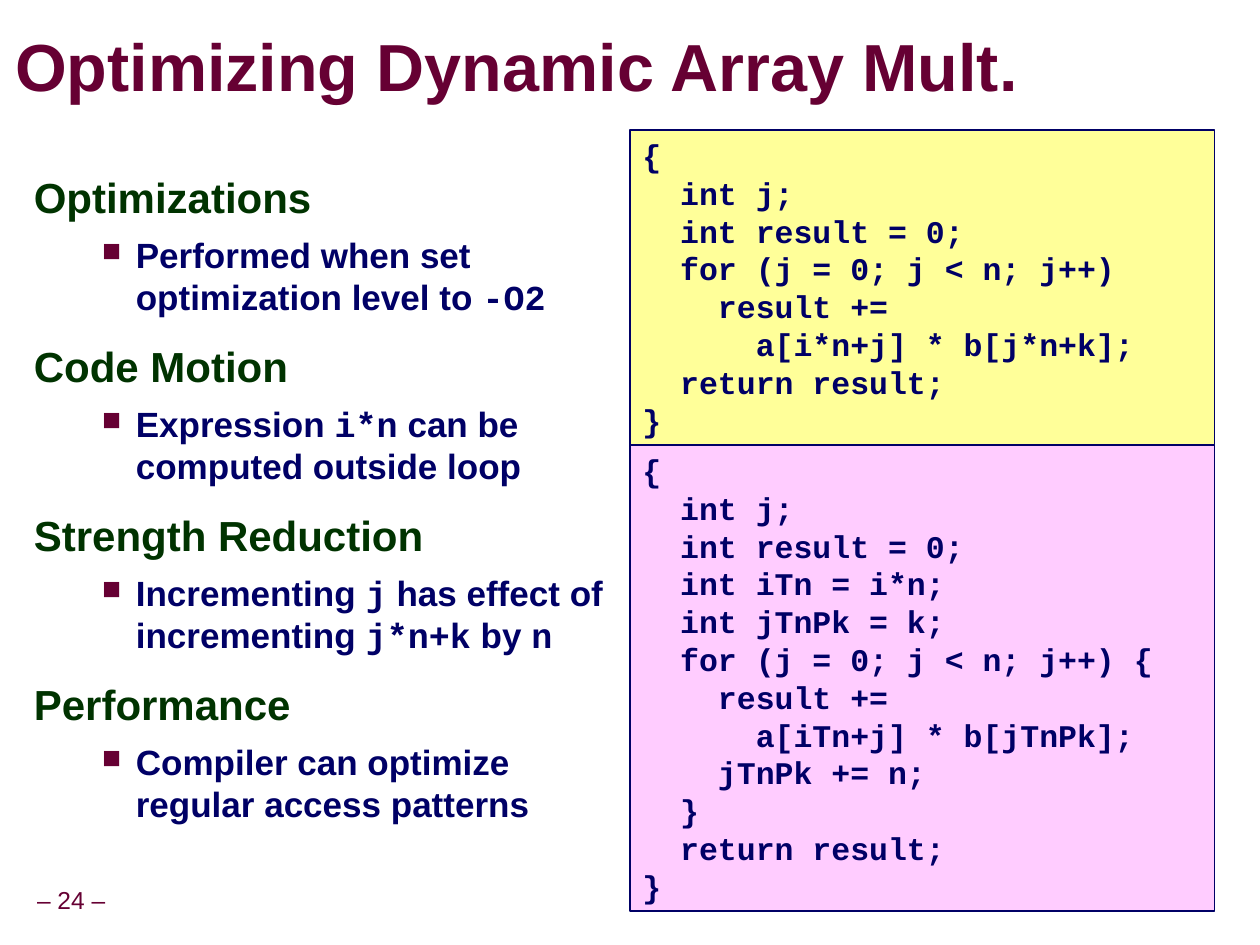
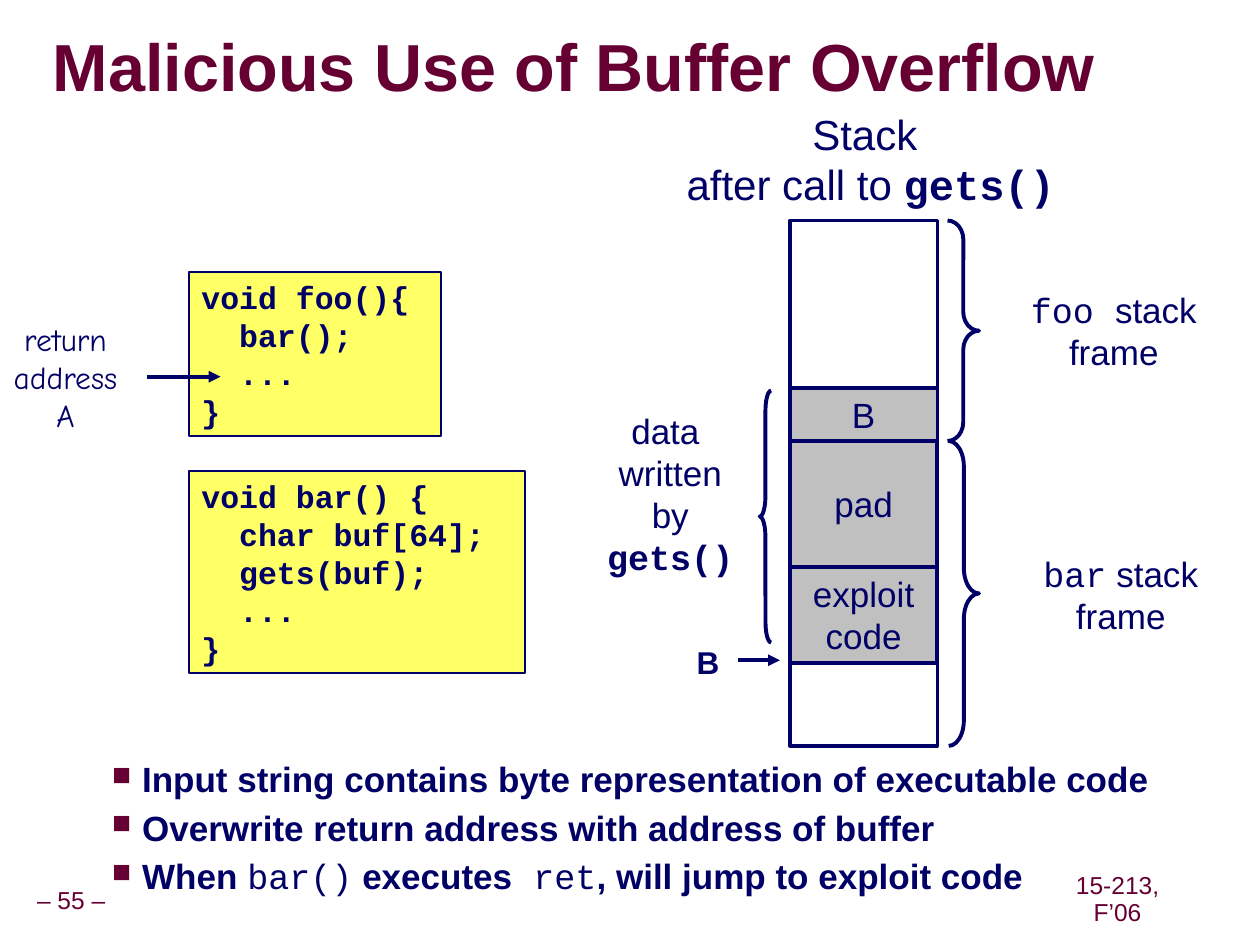
import pptx
import pptx.util
import pptx.dml.color
import pptx.enum.shapes
import pptx.enum.text
import pptx.oxml
import pptx.oxml.ns

SHAPE = pptx.enum.shapes.MSO_SHAPE
ALIGN = pptx.enum.text.PP_ALIGN
ANCHOR = pptx.enum.text.MSO_ANCHOR

THEME = {
    "maroon": "660033", "green": "003300", "navy": "000066", "white": "FFFFFF",
    "grey": "C0C0C0", "cream": "FFFF99", "yellow": "FFFF66", "pink": "FFCCFF",
    "shadow": "969696",
    "sans": "Arial", "mono": "Courier New", "hand": "Comic Neue",
    "title": 38, "heading": 24, "body": 20, "code": 18, "footer": 14,
    "thin": 1, "medium": 2, "thick": 2.25,
}
SLIDE_SIZE = (10, 7.5)
GRID_COLUMNS = 100
COURSE = "15-213, F’06"

OPTIMIZATIONS = [
    ("Optimizations", "Performed when set optimization level to `-O2`"),
    ("Code Motion", "Expression `i*n` can be computed outside loop"),
    ("Strength Reduction", "Incrementing `j` has effect of incrementing `j*n+k` by `n`"),
    ("Performance", "Compiler can optimize regular access patterns"),
]
BEFORE = """{
  int j;
  int result = 0;
  for (j = 0; j < n; j++)
    result +=
      a[i*n+j] * b[j*n+k];
  return result;
}"""
AFTER = """{
  int j;
  int result = 0;
  int iTn = i*n;
  int jTnPk = k;
  for (j = 0; j < n; j++) {
    result +=
      a[iTn+j] * b[jTnPk];
    jTnPk += n;
  }
  return result;
}"""
FOO = """void foo(){
  bar();
  ...
}"""
BAR = """void bar() {
  char buf[64];
  gets(buf);
  ...
}"""
OPTIMIZED_LISTINGS = [
    (BEFORE, (50, 10.3, 46.4, 25), "cream"),
    (AFTER, (50, 35.3, 46.4, 37), "pink"),
]
OVERFLOW_LISTINGS = [
    (BAR, (15, 37.4, 26.7, 16), "yellow"),
    (FOO, (15, 21.6, 20, 13), "yellow"),
]
OVERFLOW_STEPS = [
    "Input string contains byte representation of executable code",
    "Overwrite return address with address of buffer",
    "When `bar()` executes` ret`, will jump to exploit code",
]
STACK_LEFT, STACK_TOP, STACK_WIDTH = 62.7, 17.5, 11.7
STACK = [
    ([], 13.3, "white", "medium"),
    (["B"], 4.2, "grey", "medium"),
    (["pad"], 10, "grey", "thick"),
    (["exploit", "code"], 7.6, "grey", "thick"),
    ([], 6.6, "white", "medium"),
]
BRACES = [
    (SHAPE.RIGHT_BRACE, (75.2, 17.5, 2.5, 17.5), 0.6),
    (SHAPE.RIGHT_BRACE, (75.3, 35, 2.4, 24.2), 0.84),
    (SHAPE.LEFT_BRACE, (60.3, 31, 0.9, 20), 1.8),
]
ARROWS = [(11.7, 17.5, 29.9), (58.6, 61.9, 52.4)]
STACK_LABELS = [
    (["Stack ", "after call to `gets()`"], (53.5, 8.1, 31.2, 9), {"size": "heading"}),
    (["return", "address", "A"], (0.1, 24.9, 10.2, 10), {"size": "code", "face": "hand"}),
    (["`foo `stack frame"], (76.9, 24, 23, 4.4), {"code_bold": False}),
    (["`bar` stack frame"], (77.9, 45, 22.1, 4.4), {"code_bold": False}),
    (["B"], (54.3, 50.5, 3.8, 4), {"size": "code", "bold": True}),
    (["data ", "written", "by", "`gets()`"], (47.2, 32, 12, 14.4), {}),
]


def grid(*cells):
    return [pptx.util.Inches(cell * SLIDE_SIZE[0] / GRID_COLUMNS) for cell in cells]


def color(name):
    return pptx.dml.color.RGBColor.from_string(THEME[name])


def assign(target, values):
    for attribute, value in values.items():
        setattr(target, attribute, value)


def add_xml(parent, markup):
    parent.append(pptx.oxml.parse_xml(markup.replace(
        " ", f" {pptx.oxml.ns.nsdecls('a')} ", 1)))


def write(paragraph, text, size="body", ink="navy", face="sans", bold=False,
          code_bold=True, **spacing):
    assign(paragraph, spacing)
    for index, piece in enumerate(text.split("`")):
        if not piece:
            continue
        is_code = index % 2 == 1
        run = paragraph.add_run()
        run.text = piece
        assign(run.font, {
            "size": pptx.util.Pt(THEME[size]),
            "name": THEME["mono" if is_code else face],
            "bold": code_bold if is_code else bold,
        })
        run.font.color.rgb = color(ink)


def paragraphs(frame):
    yield frame.paragraphs[0]
    while True:
        yield frame.add_paragraph()


def write_lines(frame, lines, **style):
    for line, paragraph in zip(lines, paragraphs(frame)):
        write(paragraph, line, **style)


def add_text(slide, place, **layout):
    frame = slide.shapes.add_textbox(*grid(*place)).text_frame
    assign(frame, {"word_wrap": True, **layout})
    return frame


def add_bullet(paragraph, margin, indent):
    properties = paragraph._p.get_or_add_pPr()
    for name, inches in (("marL", margin), ("indent", -indent)):
        properties.set(name, str(pptx.util.Inches(inches)))
    add_xml(properties, f'<a:buClr ><a:srgbClr val="{THEME["maroon"]}"/></a:buClr>')
    add_xml(properties, '<a:buSzPct val="75000"/>')
    add_xml(properties, '<a:buChar char="■"/>')


def add_box(slide, place, fill, weight, kind=SHAPE.RECTANGLE):
    box = slide.shapes.add_shape(kind, *grid(*place))
    box.shadow.inherit = False
    if fill:
        box.fill.solid()
        box.fill.fore_color.rgb = color(fill)
    else:
        box.fill.background()
    box.line.color.rgb = color("navy")
    box.line.width = pptx.util.Pt(THEME[weight])
    return box


def add_listings(slide, listings):
    for code, place, fill in listings:
        frame = add_box(slide, place, fill, "thin").text_frame
        assign(frame, {"word_wrap": True, "vertical_anchor": ANCHOR.TOP})
        write_lines(frame, code.split("\n"), size="code", face="mono",
                    bold=True, alignment=ALIGN.LEFT)


def add_arrow(slide, start, end, level):
    arrow = slide.shapes.add_connector(
        pptx.enum.shapes.MSO_CONNECTOR.STRAIGHT, *grid(start, level, end, level))
    arrow.line.color.rgb = color("navy")
    arrow.line.width = pptx.util.Pt(THEME["thick"])
    add_xml(arrow.line._get_or_add_ln(), '<a:tailEnd type="triangle"/>')
    add_xml(arrow._element.spPr, "<a:effectLst />")


def add_footer(slide, text, place):
    frame = add_text(slide, place, word_wrap=False, vertical_anchor=ANCHOR.MIDDLE)
    write(frame.paragraphs[0], text, size="footer", ink="maroon",
          alignment=ALIGN.CENTER, line_spacing=0.9)


def start_slide(deck, title, place, number):
    slide = deck.slides.add_slide(deck.slide_layouts[6])
    add_footer(slide, f"– {number} –", (-0.9, 70, 13.1, 3.1))
    margins = dict.fromkeys(
        ("margin_left", "margin_top", "margin_right", "margin_bottom"), 0)
    frame = add_text(slide, place, vertical_anchor=ANCHOR.MIDDLE, **margins)
    heading = frame.paragraphs[0]
    write(heading, title, size="title", ink="maroon", bold=True, line_spacing=0.87)
    properties = heading.runs[0].font._element
    add_xml(properties, '<a:effectLst ><a:outerShdw dist="35921" dir="2700000">'
            f'<a:srgbClr val="{THEME["shadow"]}"/></a:outerShdw></a:effectLst>')
    properties.append(properties.find(pptx.oxml.ns.qn("a:latin")))
    return slide


def build_optimizing(deck):
    slide = start_slide(deck, "Optimizing Dynamic Array Mult.", (1.2, 2.5, 97.5, 6.3), 24)
    lines = paragraphs(add_text(slide, (1.7, 13.4, 47.5, 57.1)))
    for index, (topic, detail) in enumerate(OPTIMIZATIONS):
        write(next(lines), topic, size="heading", ink="green", bold=True,
              line_spacing=0.95, space_before=pptx.util.Pt(15 if index else 0))
        point = next(lines)
        add_bullet(point, 0.81, 0.27)
        write(point, detail, bold=True, space_before=pptx.util.Pt(6.2))
    add_listings(slide, OPTIMIZED_LISTINGS)


def build_overflow(deck):
    slide = start_slide(deck, "Malicious Use of Buffer Overflow", (4.2, 2.5, 90.8, 6.3), 55)
    add_footer(slide, COURSE, (82.7, 69.9, 12, 3.1))
    lines = paragraphs(add_text(slide, (4.2, 60, 90.3, 15)))
    for index, step in enumerate(OVERFLOW_STEPS):
        point = next(lines)
        add_bullet(point, 0.61, 0.24)
        write(point, step, bold=True, code_bold=False, line_spacing=0.9,
              space_before=pptx.util.Pt(6.2 if index else 0))
    add_listings(slide, OVERFLOW_LISTINGS)

    top = STACK_TOP
    for weight in ("medium", "thick"):
        top = STACK_TOP
        for words, height, fill, border in STACK:
            if border == weight:
                cell = add_box(slide, (STACK_LEFT, top, STACK_WIDTH, height), fill, border)
                assign(cell.text_frame, {"word_wrap": True, "vertical_anchor": ANCHOR.MIDDLE})
                write_lines(cell.text_frame, words, alignment=ALIGN.CENTER)
            top += height

    for kind, place, curl in BRACES:
        add_box(slide, place, None, "thick", kind).adjustments[0] = curl
    for arrow in ARROWS:
        add_arrow(slide, *arrow)
    for words, place, style in STACK_LABELS:
        frame = add_text(slide, place, word_wrap=False, vertical_anchor=ANCHOR.MIDDLE)
        write_lines(frame, words, alignment=ALIGN.CENTER, **style)


def main():
    deck = pptx.Presentation()
    deck.slide_width, deck.slide_height = map(pptx.util.Inches, SLIDE_SIZE)
    build_optimizing(deck)
    build_overflow(deck)
    deck.save("out.pptx")


if __name__ == "__main__":
    main()
